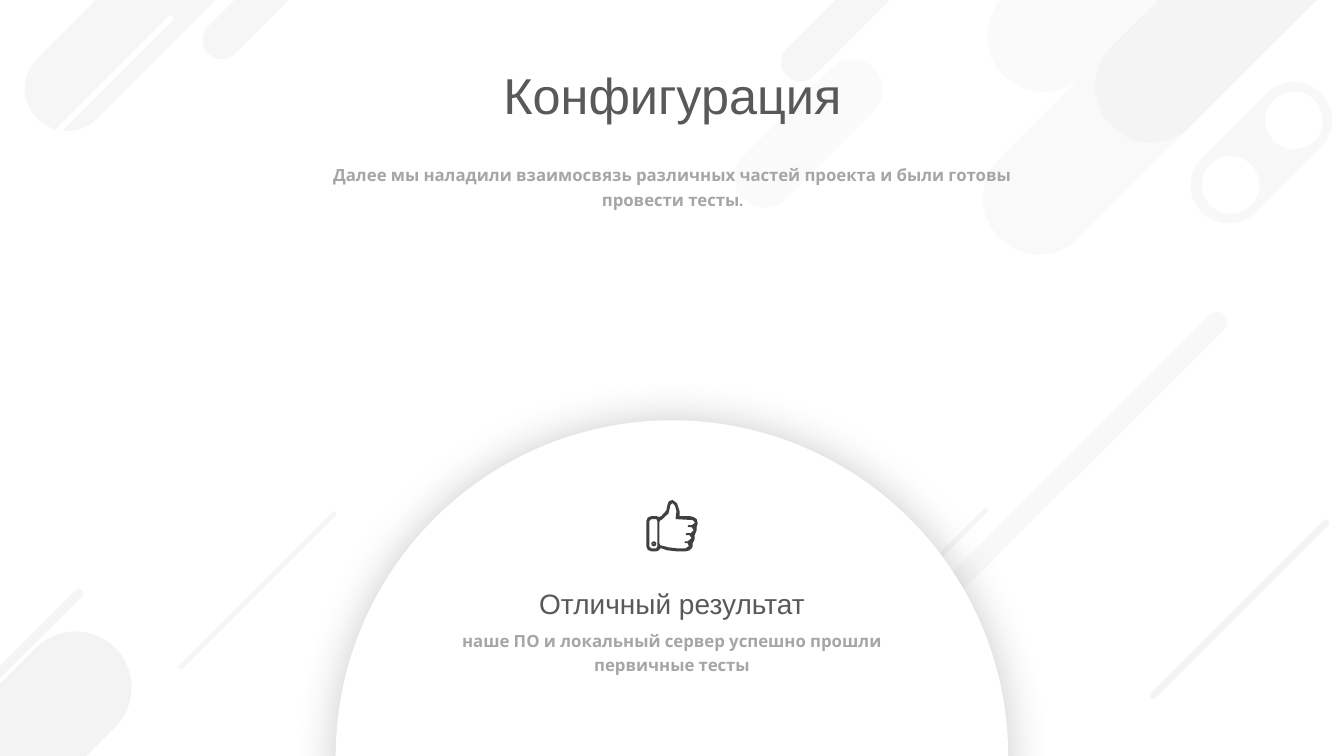
"""Build the «Конфигурация» slide with its result dome."""
from dataclasses import dataclass

from lxml import etree
from pptx import Presentation
from pptx.dml.color import RGBColor
from pptx.enum import shapes, text
from pptx.oxml import ns
from pptx.util import Inches, Pt


@dataclass(frozen=True)
class Theme:
    """Colours, fonts and type sizes of the slide."""

    white: str = "FFFFFF"
    pale: str = "F2F2F2"
    silver: str = "D9D9D9"
    shade: str = "808080"
    heading: str = "595959"
    body: str = "A6A6A6"
    icon: str = "404040"
    heading_font: str = "Arial"
    body_font: str = "Karla"
    title_size: int = 36
    result_size: int = 20
    body_size: int = 12


THEME = Theme()
PILL = shapes.MSO_SHAPE.ROUNDED_RECTANGLE
OVAL = shapes.MSO_SHAPE.OVAL
TILT = 45

LOWER_PILLS = [
    (-0.06, 6.16, 1.11, 1.83, THEME.pale, 85),
    (0.28, 5.65, 0.09, 1.39, THEME.pale, 72),
    (2.53, 4.76, 0.05, 2.19, THEME.silver, 22),
    (8.29, 4.44, 0.05, 4.17, THEME.silver, 22),
    (11.53, -2.88, 1.11, 6.14, THEME.pale, 42),
    (12.13, 0.68, 0.76, 1.67, THEME.pale, 51),
]
PILL_HOLES = [(12.55, 0.91), (11.92, 1.55)]
HOLE_SIZE = 0.57
UPPER_PILLS = [
    (12.64, -3.99, 1.11, 6.14, THEME.pale, 59),
    (11.57, -4.49, 1.11, 6.14, THEME.pale, 32),
    (10.56, 2.51, 0.2, 4.19, THEME.pale, 52),
    (7.72, 0.41, 0.6, 1.83, THEME.pale, 37),
    (8.26, -0.81, 0.38, 1.83, THEME.pale, 65),
    (2.52, -1.03, 0.38, 1.83, THEME.pale, 65),
    (0.97, -1.29, 0.84, 2.89, THEME.pale, 65),
    (0.68, -0.25, 0.06, 2.83, THEME.white, 100),
    (12.26, 4.8, 0.07, 2.49, THEME.pale, 82),
]

THUMB_ORIGIN = (6.41, 4.96)
THUMB_UNIT = 0.01
THUMB_OUTLINE = [
    (47, 17), (43, 16), (33, 16), (33, 11), (30.5, 3.3), (26, 0), (22.4, 1.4),
    (21, 5), (19.9, 10.5), (15, 16), (13, 17), (10, 16), (5, 16), (1.5, 17.5),
    (0, 21), (0, 46), (1.5, 49.5), (5, 51), (10, 51), (12.5, 50), (14, 48),
    (15, 48), (21, 50), (30, 51), (39, 51), (43, 50), (45, 48), (46, 46),
    (46, 43), (48, 39), (48, 35), (50, 30), (50, 27), (51, 23), (50, 19),
]
THUMB_PALM = [
    (48, 23), (45, 25), (42, 25), (41, 26), (42, 27), (45, 27), (47, 30),
    (44, 33), (40, 33), (39, 34), (40, 35), (43, 35), (45, 38), (41, 41),
    (38, 41), (38, 43), (41, 43), (42, 45), (42, 46), (39, 48), (30, 48),
    (22, 47), (14, 45), (13, 43), (13, 22), (14, 20), (15, 20), (22.1, 13.3),
    (24, 5), (26, 3), (28.4, 5.5), (30, 11), (29, 19), (46, 20), (48, 22),
]
THUMB_CUFF = [
    (11, 46), (10, 48), (5, 48), (3, 46), (3, 21), (5, 19), (10, 19), (11, 21),
]


def paint(shape, color, opacity=100):
    """Give a shape a flat fill without line or shadow."""
    shape.shadow.inherit = False
    shape.line.fill.background()
    shape.fill.solid()
    shape.fill.fore_color.rgb = RGBColor.from_string(color)
    if opacity < 100:
        color_node = shape.fill._xPr.find(".//" + ns.qn("a:srgbClr"))
        etree.SubElement(color_node, ns.qn("a:alpha"), val=str(opacity * 1000))


def add_preset(slide, kind, left, top, width, height, color, opacity=100):
    """Add a flat preset shape."""
    shape = slide.shapes.add_shape(
        kind, Inches(left), Inches(top), Inches(width), Inches(height))
    paint(shape, color, opacity)
    return shape


def add_pill(slide, *place_and_color):
    """Add a tilted bar with fully rounded ends."""
    shape = add_preset(slide, PILL, *place_and_color)
    shape.adjustments[0] = 0.5
    shape.rotation = TILT


def add_backdrop(slide):
    """Add the pale diagonal decoration."""
    for pill in LOWER_PILLS:
        add_pill(slide, *pill)
    for left, top in PILL_HOLES:
        add_preset(slide, OVAL, left, top, HOLE_SIZE, HOLE_SIZE, THEME.white)
    for pill in UPPER_PILLS:
        add_pill(slide, *pill)


def add_dome(slide):
    """Add the white circle with a soft halo."""
    dome = add_preset(slide, OVAL, 3.33, 4.17, 6.67, 6.67, THEME.white)
    effects = dome._element.spPr.find(ns.qn("a:effectLst"))
    halo = etree.SubElement(effects, ns.qn("a:outerShdw"), blurRad=str(Pt(30)),
                            dist="0", dir="0", algn="ctr", rotWithShape="0")
    color_node = etree.SubElement(halo, ns.qn("a:srgbClr"), val=THEME.shade)
    etree.SubElement(color_node, ns.qn("a:alpha"), val="40000")


def add_thumb(slide):
    """Add the thumbs-up icon with its cuff button."""
    left, top = THUMB_ORIGIN
    contours = [
        [(Inches(left + x * THUMB_UNIT), Inches(top + y * THUMB_UNIT))
         for x, y in contour]
        for contour in (THUMB_OUTLINE, THUMB_PALM, THUMB_CUFF)]
    builder = slide.shapes.build_freeform(*contours[0][0])
    for index, contour in enumerate(contours):
        if index:
            builder.move_to(*contour[0])
        builder.add_line_segments(contour[1:], close=True)
    paint(builder.convert_to_shape(), THEME.icon)
    button = add_preset(slide, shapes.MSO_SHAPE.DONUT,
                        6.46, 5.37, 0.05, 0.05, THEME.icon)
    button.adjustments[0] = 0.4


def add_text(slide, content, left, top, width, height, *,
             size, font, color, bold=False, spacing=None):
    """Add a centred text box that wraps and grows."""
    box = slide.shapes.add_textbox(
        Inches(left), Inches(top), Inches(width), Inches(height))
    frame = box.text_frame
    frame.word_wrap = True
    frame.auto_size = text.MSO_AUTO_SIZE.SHAPE_TO_FIT_TEXT
    paragraph = frame.paragraphs[0]
    paragraph.alignment = text.PP_ALIGN.CENTER
    paragraph.line_spacing = spacing
    run = paragraph.add_run()
    run.text = content
    run.font.size = Pt(size)
    run.font.name = font
    run.font.bold = bold
    run.font.color.rgb = RGBColor.from_string(color)


def main():
    """Build and save the slide."""
    presentation = Presentation()
    presentation.slide_width = Inches(13.33)
    presentation.slide_height = Inches(7.5)
    slide = presentation.slides.add_slide(presentation.slide_layouts[6])
    heading = dict(font=THEME.heading_font, color=THEME.heading)
    body = dict(size=THEME.body_size, font=THEME.body_font,
                color=THEME.body, bold=True, spacing=1.2)

    add_backdrop(slide)
    add_dome(slide)
    add_text(slide, "Конфигурация", 1.95, 0.59, 9.44, 0.71,
             size=THEME.title_size, **heading)
    add_text(slide, "Далее мы наладили взаимосвязь различных частей проекта "
             "и были готовы провести тесты.", 3.1, 1.55, 7.14, 0.32, **body)
    add_text(slide, "наше ПО и локальный сервер успешно прошли первичные тесты",
             4.37, 6.17, 4.59, 0.56, **body)
    add_text(slide, "Отличный результат", 4.37, 5.7, 4.59, 0.47,
             size=THEME.result_size, spacing=1.2, **heading)
    add_thumb(slide)
    presentation.save("out.pptx")


if __name__ == "__main__":
    main()
